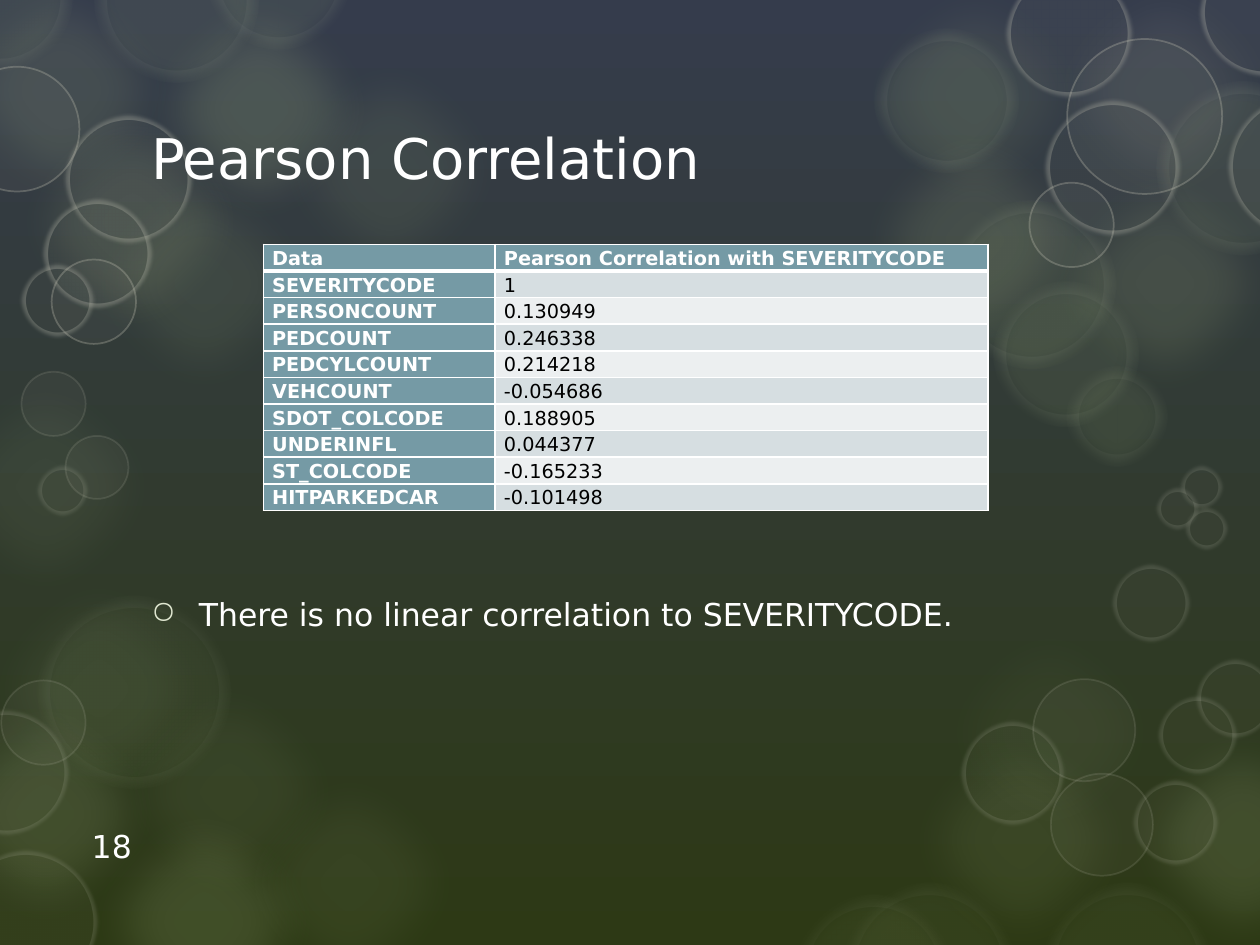
import dataclasses

import lxml.etree
import pptx
import pptx.dml.color
import pptx.enum.shapes
import pptx.enum.text
import pptx.oxml.ns
import pptx.util

qn = pptx.oxml.ns.qn


@dataclasses.dataclass(frozen=True)
class Theme:
    """Colours and type sizes of the slide."""
    font: str = "DejaVu Sans"
    sky: str = "353C4C"
    ground: str = "2D3915"
    white: str = "FFFFFF"
    black: str = "000000"
    leaf: str = "AEC089"
    stone: str = "C2C1B2"
    mist: str = "ECF0E3"
    bullet: str = "DFE6D0"
    header: str = "759AA5"
    bands: tuple = ("D6DEE1", "ECEFF0")
    title_size: float = 32
    body_size: float = 18
    table_size: float = 11


@dataclasses.dataclass(frozen=True)
class Style:
    """Look of one family of bubbles; opacities in percent, widths in points."""
    fill: str
    opacity: int
    line: str = ""
    width: float = 0
    line_opacity: int = 0
    soft: float = 0


@dataclasses.dataclass(frozen=True)
class Bubble:
    """A circle, placed in grid units."""
    left: float
    top: float
    size: float


THEME = Theme()
GRID_CM = 2.54
WIDTH, HEIGHT = 10, 7.5
BIG = 2.09


def haze(opacity: int, fill: str = THEME.leaf) -> Style:
    """Large blurred spot without outline."""
    return Style(fill, opacity, soft=25)


def glow(opacity: int, line_opacity: int) -> Style:
    """Blurred spot with a wide pale outline."""
    return Style(THEME.leaf, opacity, THEME.mist, 14, line_opacity, 9)


def ring(width: float, line_opacity: int) -> Style:
    """Faint disc with an outline, softened when the outline is wide."""
    return Style(THEME.stone, 5, THEME.stone, width, line_opacity, 2.5 if width > 1 else 0)


BUBBLES = [
    (haze(8), [(-0.26, 4.42, BIG), (0.77, 5.24, BIG)]),
    (haze(10), [(0.57, 1.2, BIG), (2.05, 0.31, BIG), (6.69, -0.29, BIG), (7.06, 5.62, BIG)]),
    (haze(16), [(0.57, 6.27, BIG), (8.81, 5.62, BIG), (-0.69, 5.41, BIG)]),
    (haze(14), [(-0.56, -0.33, BIG)]),
    (haze(20), [(1.01, -0.18, BIG)]),
    (haze(15), [(0, 0.72, BIG), (8.2, 1.2, BIG), (6.69, 0.86, BIG)]),
    (haze(10, THEME.stone), [(8.2, -0.33, BIG)]),
    (haze(5), [(7.29, 4.77, BIG)]),
    (glow(10, 6), [(9.18, 0.65, 1.37), (6.94, 0.23, 1.14), (7.52, 1.59, 1.33),
                   (7.89, 2.24, 1.14), (8.47, 2.91, 0.79), (0.75, -0.65, 1.3),
                   (1.64, -0.75, 1.14), (-0.57, -0.58, 1.14)]),
    (glow(6, 4), [(0.3, 4.73, 1.53), (6.31, 7.1, 1.25), (6.69, 7.01, 1.37), (8.28, 7.01, 1.33)]),
    (ring(5, 15), [(-0.36, 6.75, 1.13), (-0.44, 5.64, 0.98), (7.63, 5.73, 0.81),
                   (9, 6.2, 0.66), (8.83, 4.48, 0.61), (9.2, 5.53, 0.61), (9.5, 5.24, 0.61),
                   (9.37, 3.7, 0.33), (9.18, 3.87, 0.33), (9.41, 4.03, 0.33), (0.3, 3.7, 0.39)]),
    (ring(5, 30), [(0.52, 0.92, 1), (0.35, 1.59, 0.85), (0.17, 2.1, 0.57), (7.99, -0.23, 0.99),
                   (9.53, -0.4, 1), (9.75, 0.76, 1.12), (8.3, 0.8, 1.06)]),
    (ring(1, 30), [(-0.36, 0.53, 0.99), (0.41, 2.06, 0.67), (8.47, 0.31, 1.23),
                   (8.17, 1.45, 0.67)]),
    (ring(1, 15), [(0.01, 5.4, 0.67), (8.34, 6.14, 0.81), (8.2, 5.39, 0.81),
                   (0.17, 2.95, 0.51), (0.52, 3.46, 0.5)]),
    (haze(8), [(1.73, 5.96, BIG), (-0.69, 2.82, BIG)]),
    (haze(10), [(6.75, 2.62, 1.33)]),
]
ROWS = [
    ("Data", "Pearson Correlation with SEVERITYCODE"), ("SEVERITYCODE", "1"),
    ("PERSONCOUNT", "0.130949"), ("PEDCOUNT", "0.246338"), ("PEDCYLCOUNT", "0.214218"),
    ("VEHCOUNT", "-0.054686"), ("SDOT_COLCODE", "0.188905"), ("UNDERINFL", "0.044377"),
    ("ST_COLCODE", "-0.165233"), ("HITPARKEDCAR", "-0.101498"),
]


def units(value: float) -> pptx.util.Length:
    """Turn grid units into a length."""
    return pptx.util.Cm(value * GRID_CM)


def colour(code: str) -> pptx.dml.color.RGBColor:
    """Turn a hex code into a colour."""
    return pptx.dml.color.RGBColor.from_string(code)


def draw_bubble(page, bubble: Bubble, style: Style) -> None:
    """Draw one translucent bubble."""
    shape = page.shapes.add_shape(
        pptx.enum.shapes.MSO_SHAPE.OVAL, units(bubble.left), units(bubble.top),
        units(bubble.size), units(bubble.size))
    shape.shadow.inherit = False
    shape.fill.solid()
    shape.fill.fore_color.rgb = colour(style.fill)
    if style.line:
        shape.line.color.rgb = colour(style.line)
        shape.line.width = pptx.util.Pt(style.width)
    else:
        shape.line.fill.background()
    opacities = (style.opacity, style.line_opacity)
    for tint, opacity in zip(shape.element.iter(qn("a:srgbClr")), opacities):
        lxml.etree.SubElement(tint, qn("a:alpha"), val=str(opacity * 1000))
    if style.soft:
        effects = next(shape.element.iter(qn("a:effectLst")))
        lxml.etree.SubElement(effects, qn("a:softEdge"), rad=str(pptx.util.Pt(style.soft)))


def add_span(para, text: str, size: float, tint: str = THEME.white, bold: bool = False) -> None:
    """Add one run of text."""
    span = para.add_run()
    span.text = text
    span.font.name, span.font.size, span.font.bold = THEME.font, pptx.util.Pt(size), bold
    span.font.color.rgb = colour(tint)


def add_text(page, place: tuple, anchor: str, text: str, size: float):
    """Add a one-paragraph text box and return the paragraph."""
    box = page.shapes.add_textbox(*map(units, place))
    box.text_frame.word_wrap = True
    box.text_frame.vertical_anchor = pptx.enum.text.MSO_ANCHOR[anchor]
    para = box.text_frame.paragraphs[0]
    add_span(para, text, size)
    return para


def add_bullet(para) -> None:
    """Give a paragraph a hanging circle bullet."""
    para.space_before, para.space_after = pptx.util.Pt(3.6), pptx.util.Pt(6)
    props = para._p.get_or_add_pPr()
    props.set("marL", str(units(0.38)))
    props.set("indent", str(-units(0.38)))
    tint = lxml.etree.SubElement(props, qn("a:buClr"))
    lxml.etree.SubElement(tint, qn("a:srgbClr"), val=THEME.bullet)
    lxml.etree.SubElement(props, qn("a:buChar"), char="○")


def add_borders(cell, top: float, bottom: float) -> None:
    """Draw white borders round a cell, widths in points."""
    props = cell._tc.get_or_add_tcPr()
    for place, (side, width) in enumerate((("L", 1), ("R", 1), ("T", top), ("B", bottom))):
        line = lxml.etree.Element(qn(f"a:ln{side}"), w=str(pptx.util.Pt(width)))
        fill = lxml.etree.SubElement(line, qn("a:solidFill"))
        lxml.etree.SubElement(fill, qn("a:srgbClr"), val=THEME.white)
        props.insert(place, line)


def add_correlations(page) -> None:
    """Add the table of correlations."""
    frame = page.shapes.add_table(len(ROWS), 2, *map(units, (2.09, 1.94, 5.75, 2.08)))
    table = frame.table
    table.horz_banding = False
    for column, width in zip(table.columns, (1.84, 3.91)):
        column.width = units(width)
    for row, texts in enumerate(ROWS):
        for column, text in enumerate(texts):
            cell = table.cell(row, column)
            strong = row == 0 or column == 0
            cell.margin_left = cell.margin_right = units(0.07)
            cell.margin_top = cell.margin_bottom = 0
            cell.fill.solid()
            cell.fill.fore_color.rgb = colour(THEME.header if strong else THEME.bands[(row - 1) % 2])
            add_borders(cell, 3 if row == 1 else 1, 3 if row == 0 else 1)
            para = cell.text_frame.paragraphs[0]
            para.line_spacing = 1.15
            if row:
                para.alignment = pptx.enum.text.PP_ALIGN.JUSTIFY
            add_span(para, text, THEME.table_size, THEME.white if strong else THEME.black, strong)


def main() -> None:
    """Build and save the slide."""
    deck = pptx.Presentation()
    deck.slide_width, deck.slide_height = units(WIDTH), units(HEIGHT)
    page = deck.slides.add_slide(deck.slide_layouts[6])
    backdrop = page.background.fill
    backdrop.gradient()
    backdrop.gradient_angle = 270
    for stop, tint in zip(backdrop.gradient_stops, (THEME.sky, THEME.ground)):
        stop.color.rgb = colour(tint)
    for style, places in BUBBLES:
        for place in places:
            draw_bubble(page, Bubble(*place), style)
    add_text(page, (1.1, 0.74, 7.79, 1.01), "MIDDLE", "Pearson Correlation", THEME.title_size)
    add_correlations(page)
    add_text(page, (0.63, 6.51, 0.67, 0.4), "BOTTOM", "18", THEME.body_size)
    add_bullet(add_text(page, (1.1, 4.54, 7.79, 0.67), "MIDDLE",
                        "There is no linear correlation to SEVERITYCODE.", THEME.body_size))
    deck.save("out.pptx")


main()
